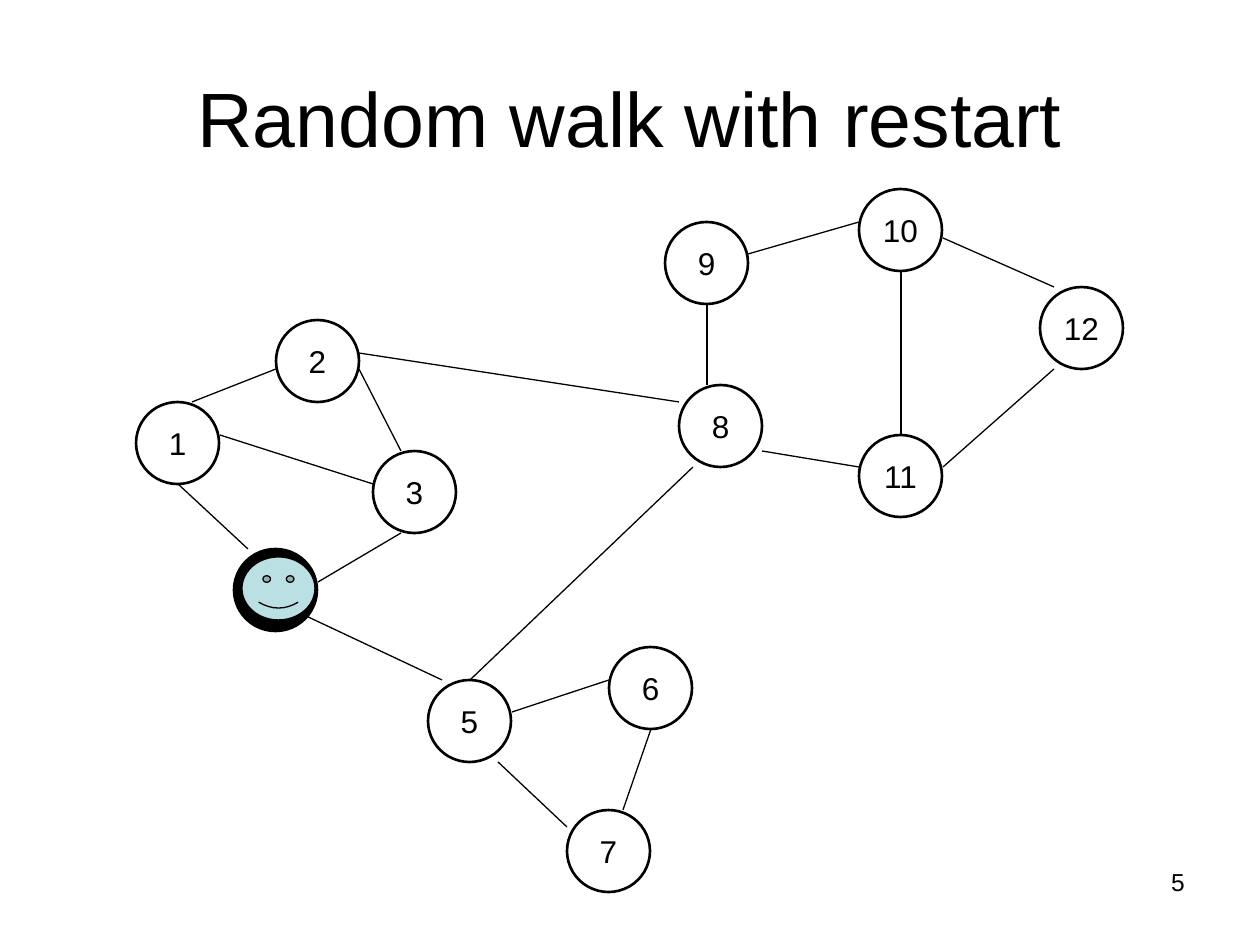
from lxml.etree import SubElement
from pptx import Presentation
from pptx.dml.color import RGBColor
from pptx.enum.shapes import MSO_CONNECTOR, MSO_SHAPE
from pptx.enum.text import MSO_ANCHOR, PP_ALIGN
from pptx.oxml.ns import qn
from pptx.util import Emu, Pt

SCALE = 914400 / 126
BLACK, WHITE, TEAL = "000000", "FFFFFF", "BBE0E3"
NODE_W, NODE_H = 83, 82


def px(*lengths):
    return [Emu(round(n * SCALE)) for n in lengths]


def color(fmt, value):
    fmt.rgb = RGBColor.from_string(value)


prs = Presentation()
prs.slide_width, prs.slide_height = px(1260, 945)
s = prs.slides.add_slide(prs.slide_layouts[5])

title = s.shapes.title
title.left, title.top, title.width, title.height = px(63, 38, 1134, 158)
title.text_frame.text = "Random walk with restart"
title.text_frame.vertical_anchor = MSO_ANCHOR.MIDDLE

number = s.shapes.add_textbox(*px(903, 861, 294, 66))
number.text_frame.word_wrap = True
number.text_frame.text = "5"

for sp, size, align in [(title, 44, PP_ALIGN.CENTER), (number, 14, PP_ALIGN.RIGHT)]:
    p = sp.text_frame.paragraphs[0]
    p.alignment = align
    p.font.name = "Arial"
    p.font.size = Pt(size)
    color(p.font.color, BLACK)

nodes = [
    ("1", 136, 402), ("", 234, 549), ("3", 373, 451), ("2", 276, 320),
    ("5", 428, 680), ("6", 609, 647), ("7", 567, 810), ("9", 665, 222),
    ("10", 859, 189), ("8", 679, 385), ("11", 859, 435), ("12", 1040, 287),
]
for label, x, y in nodes:
    sp = s.shapes.add_shape(MSO_SHAPE.OVAL, *px(x, y, NODE_W, NODE_H))
    sp.shadow.inherit = False
    sp.fill.solid()
    color(sp.fill.fore_color, WHITE if label else BLACK)
    color(sp.line.color, BLACK)
    sp.line.width = Pt(1.5)
    if label:
        tf = sp.text_frame
        tf.word_wrap = False
        tf.vertical_anchor = MSO_ANCHOR.MIDDLE
        tf.text = label
        p = tf.paragraphs[0]
        p.alignment = PP_ALIGN.CENTER
        p.font.name = "Arial"
        p.font.size = Pt(18)
        color(p.font.color, BLACK)

edges = [
    (178, 484, 248, 549), (220, 435, 373, 484), (192, 402, 276, 369),
    (359, 369, 401, 451), (318, 582, 401, 533), (304, 615, 442, 680),
    (512, 712, 609, 680), (498, 762, 567, 827), (651, 729, 623, 810),
    (762, 451, 859, 467), (943, 467, 1054, 369), (943, 238, 1054, 287),
    (748, 254, 859, 222), (707, 304, 707, 385), (901, 271, 901, 435),
    (359, 353, 679, 402), (470, 680, 693, 467),
]
for edge in edges:
    line = s.shapes.add_connector(MSO_CONNECTOR.STRAIGHT, *px(*edge))
    color(line.line.color, BLACK)
    line.line.width = Pt(0.75)
    SubElement(line._element.spPr, qn("a:effectLst"))

walker = s.shapes.add_shape(MSO_SHAPE.SMILEY_FACE, *px(242, 557, 73, 63))
walker.shadow.inherit = False
walker.fill.solid()
color(walker.fill.fore_color, TEAL)
color(walker.line.color, BLACK)
walker.line.width = Pt(0.75)

prs.save("out.pptx")
